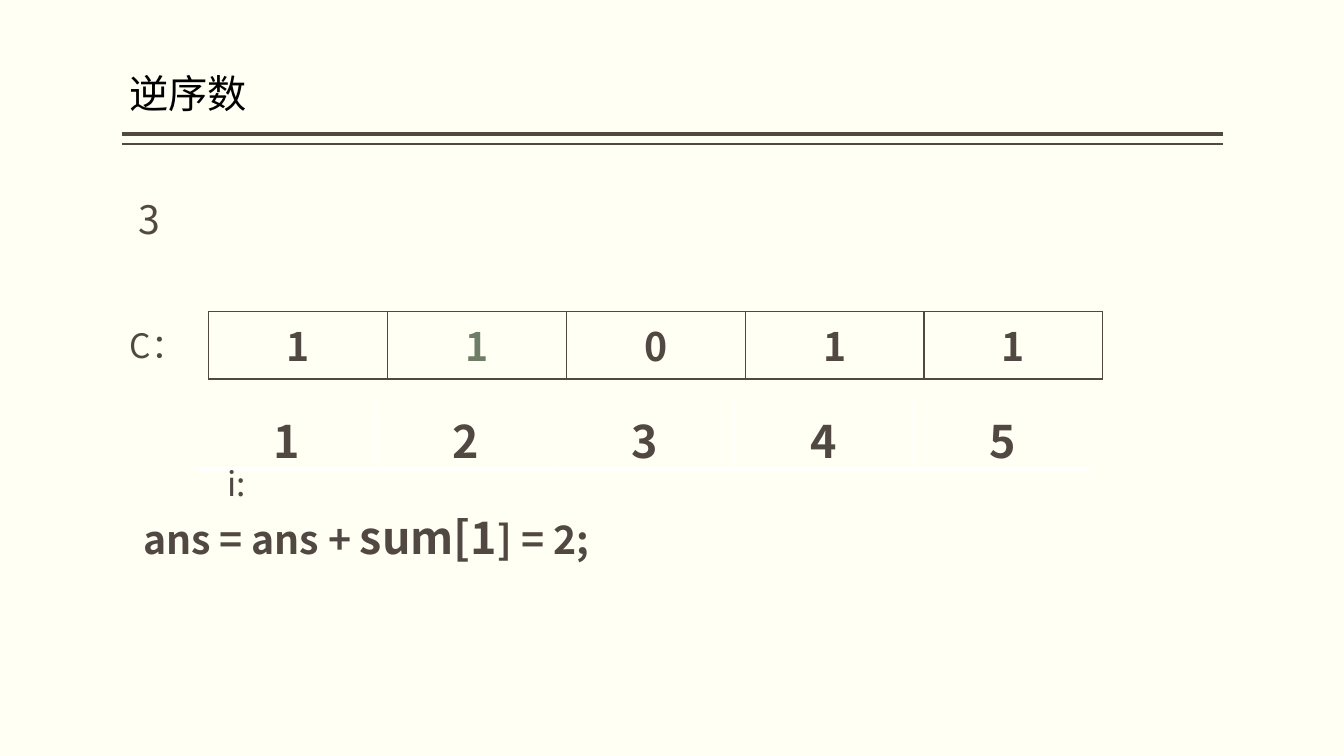
import pptx
import pptx.util
import pptx.dml.color
import pptx.enum.shapes
import pptx.enum.text
import pptx.oxml
import pptx.oxml.ns
from lxml import etree

Inches, Pt = pptx.util.Inches, pptx.util.Pt
RGBColor = pptx.dml.color.RGBColor
qn = pptx.oxml.ns.qn

IVORY = RGBColor(0xFF, 0xFF, 0xF3)
BROWN = RGBColor(0x51, 0x48, 0x43)
GREEN = RGBColor(0x6D, 0x7D, 0x66)
BLACK = RGBColor(0, 0, 0)
WHITE = RGBColor(0xFF, 0xFF, 0xFF)
FONT = "Noto Sans CJK SC"
COLUMN_WIDTH, ROW_HEIGHT = 1.774, 0.67


def format_run(run, size, color=BROWN, bold=False):
    run.font.name = FONT
    run.font.size = Pt(size)
    run.font.bold = bold
    run.font.color.rgb = color
    properties = run.font._element
    east_asian = etree.SubElement(properties, qn("a:ea"))
    east_asian.set("typeface", FONT)


def add_text(slide, box, pieces, color=BROWN, bold=False):
    """Place one line made of (text, size) pieces and return its text frame."""
    shape = slide.shapes.add_textbox(*map(Inches, box))
    frame = shape.text_frame
    frame.word_wrap = True
    for text, size in pieces:
        run = frame.paragraphs[0].add_run()
        run.text = text
        format_run(run, size, color, bold)
    return frame


def add_rule(slide, left, top, width, weight):
    line = slide.shapes.add_connector(
        pptx.enum.shapes.MSO_CONNECTOR.STRAIGHT,
        Inches(left), Inches(top), Inches(left + width), Inches(top))
    line.line.color.rgb = BROWN
    line.line.width = Pt(weight)
    etree.SubElement(line._element.spPr, qn("a:effectLst"))


def set_borders(cell, color, weights):
    """Draw the left, right, top and bottom borders, in that order."""
    properties = cell._tc.get_or_add_tcPr()
    for position, (side, weight) in enumerate(zip("LRTB", weights)):
        border = etree.Element(qn(f"a:ln{side}"), w=str(Pt(weight)))
        fill = etree.SubElement(border, qn("a:solidFill"))
        etree.SubElement(fill, qn("a:srgbClr"), val=str(color))
        properties.insert(position, border)


def add_number_row(slide, left, top, numbers, size, border_color, weights, highlight=None):
    count = len(numbers)
    table = slide.shapes.add_table(
        1, count, Inches(left), Inches(top),
        Inches(COLUMN_WIDTH * count), Inches(ROW_HEIGHT)).table
    table.first_row = table.horz_banding = False
    for index, number in enumerate(numbers):
        cell = table.cell(0, index)
        cell.fill.background()
        set_borders(cell, border_color, weights)
        cell.text_frame.text = str(number)
        paragraph = cell.text_frame.paragraphs[0]
        paragraph.alignment = pptx.enum.text.PP_ALIGN.CENTER
        color = GREEN if index == highlight else BROWN
        format_run(paragraph.runs[0], size, color, bold=True)


def add_header(slide, left, top, width):
    frame = add_text(slide, (left + 0.07, top, 9.83, 0.62), [("逆序数", 28)], BLACK)
    frame.margin_left = frame.margin_right = 0
    frame.vertical_anchor = pptx.enum.text.MSO_ANCHOR.BOTTOM
    frame.paragraphs[0].line_spacing = 0.9
    add_rule(slide, left, top + 0.74, width, 3)
    add_rule(slide, left, top + 0.84, width, 1)


def add_count_array(slide, left, top):
    """Show the counts, their indexes below and the label of each row."""
    add_number_row(slide, left + 0.88, top, [1, 1, 0, 1, 1], 28, BROWN, (1, 1, 1, 1), highlight=1)
    add_number_row(slide, left + 0.77, top + 0.89, range(1, 6), 32, WHITE, (1, 1, 1, 3))
    add_text(slide, (left, top + 0.08, 1, 0.5), [("C：", 24)])
    add_text(slide, (left + 0.97, top + 1.45, 0.83, 0.5), [("i:", 24)])


def main():
    presentation = pptx.Presentation()
    presentation.slide_width = Inches(13.33)
    presentation.slide_height = Inches(7.5)
    slide = presentation.slides.add_slide(presentation.slide_layouts[6])
    slide.background.fill.solid()
    slide.background.fill.fore_color.rgb = IVORY

    add_header(slide, 1.21, 0.59, 10.92)
    add_text(slide, (1.28, 1.89, 8.99, 0.57), [("3", 28)])
    add_count_array(slide, 1.19, 3.09)
    answer = [("ans = ans + ", 28), ("sum[1", 32), ("] = 2;", 28)]
    add_text(slide, (1.32, 5.01, 9.01, 0.64), answer, bold=True)
    presentation.save("out.pptx")


if __name__ == "__main__":
    main()
